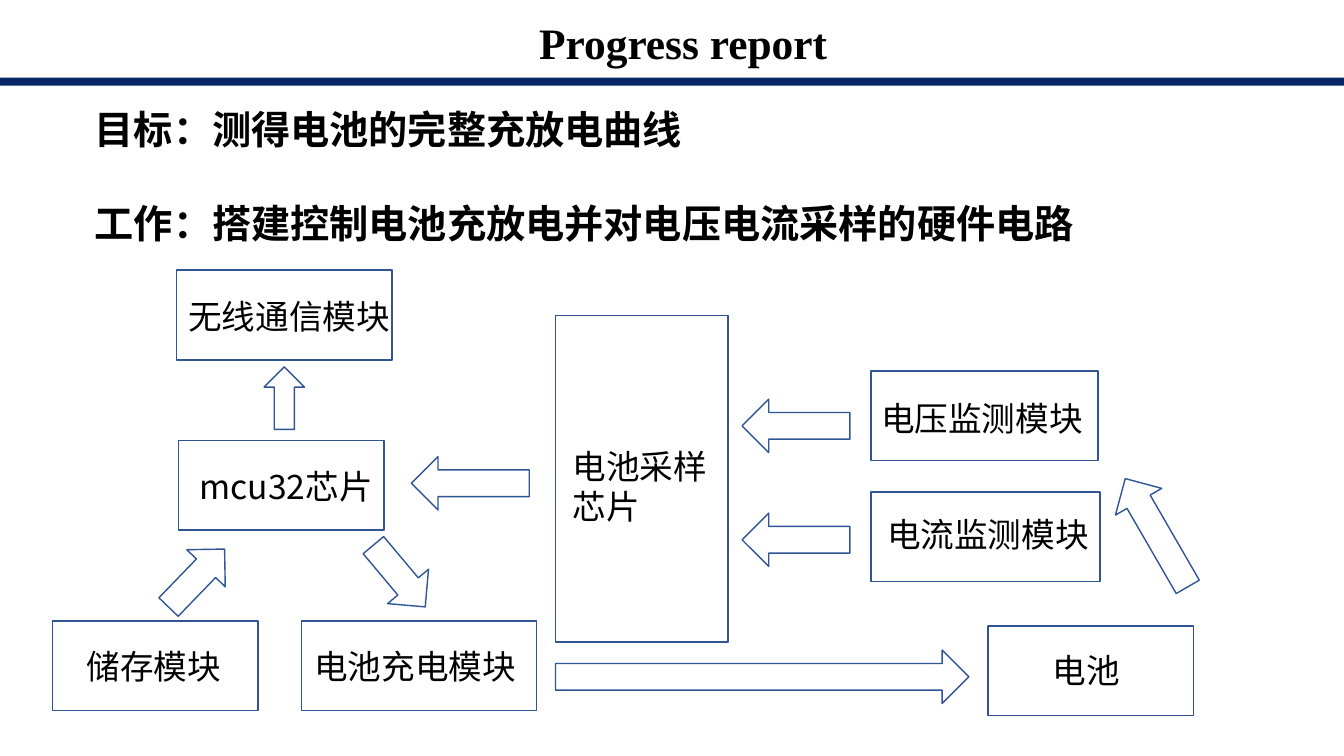
from lxml.etree import SubElement
from pptx import Presentation
from pptx.dml.color import RGBColor
from pptx.enum.shapes import MSO_SHAPE as Shape
from pptx.enum.text import MSO_ANCHOR as Anchor, MSO_AUTO_SIZE as AutoSize, PP_ALIGN as Align
from pptx.oxml.ns import qn
from pptx.util import Pt

EMU_PER_PX = 9144  # 100 px to the inch
COLORS = {"ink": "000000", "paper": "FFFFFF", "outline": "2F5597", "bar": "002060"}
SERIF = "Times New Roman"
SANS = "Noto Sans CJK SC"

# Each module: text, box (left, top, width, height), label (left, top, width, height)
MODULES = [
    ("电压监测模块", (864, 368, 225, 89), (864, 390, 229, 48)),
    ("电流监测模块", (864, 488, 227, 89), (870, 505, 238, 48)),
    ("电池采样芯片", (551, 313, 171, 324), (558, 437, 157, 48)),
    ("mcu32芯片", (177, 437, 204, 89), (188, 457, 201, 45)),
    ("储存模块", (52, 616, 204, 89), (76, 636, 196, 48)),
    ("无线通信模块", (175, 268, 214, 89), (177, 289, 315, 33)),
    ("电池充电模块", (299, 616, 233, 89), (302, 636, 230, 45)),
    ("电池", (980, 621, 204, 89), (1034, 640, 196, 48)),
]

# Each flow arrow: preset, place, rotation
FLOWS = [
    (Shape.LEFT_ARROW, (736, 396, 107, 53), 0),    # voltage to sampling
    (Shape.LEFT_ARROW, (736, 509, 107, 53), 0),    # current to sampling
    (Shape.LEFT_ARROW, (408, 453, 117, 53), 0),    # sampling to controller
    (Shape.RIGHT_ARROW, (155, 547, 80, 53), 314),  # storage to controller
    (Shape.UP_ARROW, (262, 364, 40, 62), 0),       # controller to wireless
    (Shape.RIGHT_ARROW, (356, 545, 80, 53), 50),   # controller to charging
    (Shape.RIGHT_ARROW, (551, 645, 410, 53), 0),   # charging to battery
    (Shape.LEFT_ARROW, (1085, 502, 124, 53), 60),  # battery to monitoring
]


def px(*lengths):
    return [length * EMU_PER_PX for length in lengths]


def rgb(name):
    return RGBColor.from_string(COLORS[name])


def write(paragraph, text, size, font=SANS, bold=False, align=Align.LEFT,
          line_spacing=1.0, before=0):
    paragraph.alignment = align
    paragraph.line_spacing = line_spacing
    paragraph.space_before = Pt(before)
    run = paragraph.add_run()
    run.text = text
    run.font.size = Pt(size)
    run.font.name = font
    run.font.bold = bold
    run.font.color.rgb = rgb("ink")
    # East Asian characters take their own typeface
    SubElement(run.font._element, qn("a:ea"), typeface=font)


def set_frame(holder, anchor=Anchor.TOP, top_inset=5):
    frame = holder.text_frame
    frame.word_wrap = True
    frame.auto_size = AutoSize.NONE
    frame.vertical_anchor = anchor
    frame.margin_top, = px(top_inset)
    return frame


def place(holder, left, top, width, height):
    holder.left, holder.top, holder.width, holder.height = px(left, top, width, height)


def add_outlined(slide, preset, bounds, rotation=0):
    outlined = slide.shapes.add_shape(preset, *px(*bounds))
    outlined.shadow.inherit = False
    outlined.rotation = rotation
    outlined.fill.solid()
    outlined.fill.fore_color.rgb = rgb("paper")
    outlined.line.color.rgb = rgb("outline")
    outlined.line.width = Pt(1)


def add_module(slide, text, box, label):
    add_outlined(slide, Shape.RECTANGLE, box)
    caption = slide.shapes.add_textbox(*px(*label))
    write(set_frame(caption).paragraphs[0], text, 24)


def add_title(slide, text):
    title = slide.shapes.title
    place(title, 328, 14, 699, 63)
    frame = set_frame(title, anchor=Anchor.MIDDLE)
    write(frame.paragraphs[0], text, 31, font=SERIF, bold=True,
          align=Align.CENTER, line_spacing=0.9)


def add_aims(slide, goal, work):
    aims = slide.placeholders[1]
    place(aims, 84, 70, 1010, 182)
    frame = set_frame(aims, top_inset=34)
    write(frame.paragraphs[0], goal, 28, bold=True)
    write(frame.add_paragraph(), work, 28, bold=True, before=34)


def add_title_bar(slide):
    bar = slide.shapes.add_shape(Shape.RECTANGLE, *px(-2, 77, 1336, 8))
    bar.shadow.inherit = False
    bar.line.fill.background()
    bar.fill.solid()
    bar.fill.fore_color.rgb = rgb("bar")
    tint = bar._element.spPr.find(qn("a:solidFill"))[0]
    SubElement(tint, qn("a:alpha"), val="97000")


def main():
    deck = Presentation()
    deck.slide_width, deck.slide_height = px(1333, 750)
    slide = deck.slides.add_slide(deck.slide_layouts[0])

    # Heading and aims
    add_title(slide, "Progress report")
    add_title_bar(slide)
    add_aims(slide, "目标：测得电池的完整充放电曲线",
             "工作：搭建控制电池充放电并对电压电流采样的硬件电路")

    # Block diagram
    for text, box, label in MODULES:
        add_module(slide, text, box, label)
    for preset, bounds, rotation in FLOWS:
        add_outlined(slide, preset, bounds, rotation)

    deck.save("out.pptx")


if __name__ == "__main__":
    main()
